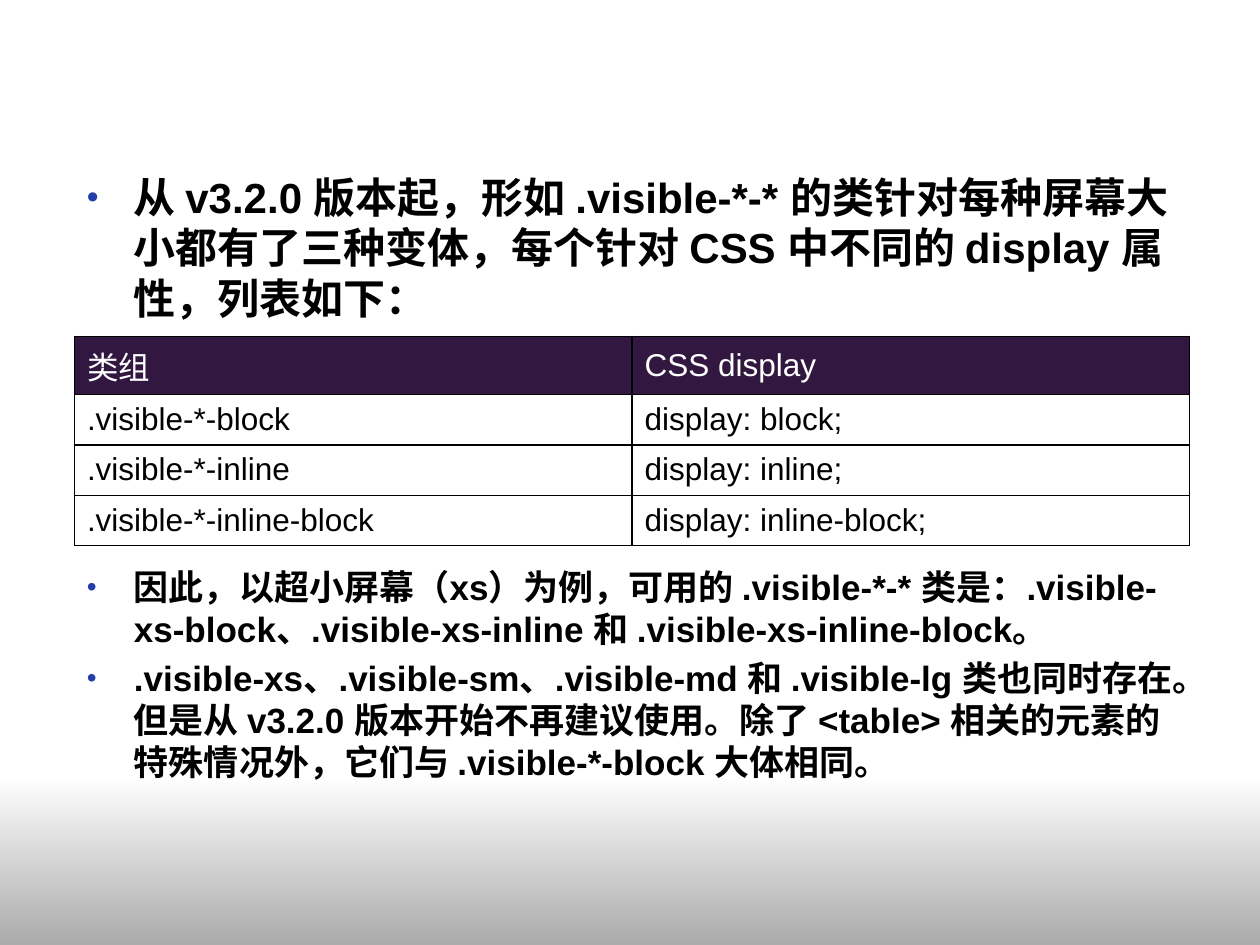
from lxml.etree import SubElement
from pptx import Presentation
from pptx.dml.color import RGBColor
from pptx.enum.text import MSO_ANCHOR
from pptx.oxml.ns import qn
from pptx.util import Cm, Pt

LEFT = Cm(1.5)
INDENT = Cm(0.95)
BLACK, WHITE, PURPLE, BLUE, GREY = "000000", "FFFFFF", "321841", "233DA9", "ABABAB"

INTRO = ["从 v3.2.0 版本起，形如 .visible-*-* 的类针对每种屏幕大小都有了三种变体，每个针对 CSS 中不同的 display 属性，列表如下："]
NOTES = [
    "因此，以超小屏幕（xs）为例，可用的 .visible-*-* 类是：.visible-xs-block、.visible-xs-inline 和 .visible-xs-inline-block。",
    ".visible-xs、.visible-sm、.visible-md 和 .visible-lg 类也同时存在。但是从 v3.2.0 版本开始不再建议使用。除了 <table> 相关的元素的特殊情况外，它们与 .visible-*-block 大体相同。",
]
CLASSES = [
    ("类组", "CSS display"),
    (".visible-*-block", "display: block;"),
    (".visible-*-inline", "display: inline;"),
    (".visible-*-inline-block", "display: inline-block;"),
]


def rgb(color):
    return RGBColor.from_string(color)


def style_runs(paragraph, size, color, bold=False):
    for run in paragraph.runs:
        font = run.font
        font.name, font.size, font.bold = "Arial", Pt(size), bold
        font.color.rgb = rgb(color)


def paint_background(slide):
    fill = slide.background.fill
    fill.gradient()
    fill.gradient_angle = 90
    for stop, color, position in zip(fill.gradient_stops, (GREY, WHITE), (0, 0.18)):
        stop.color.rgb = rgb(color)
        stop.position = position


def add_bullet(paragraph):
    props = paragraph._p.get_or_add_pPr()
    props.set("marL", str(INDENT))
    props.set("indent", str(-INDENT))
    bullet_color = SubElement(props, qn("a:buClr"))
    SubElement(bullet_color, qn("a:srgbClr"), val=BLUE)
    SubElement(props, qn("a:buSzPct"), val="80000")
    SubElement(props, qn("a:buFont"), typeface="Arial")
    SubElement(props, qn("a:buChar"), char="•")


def add_bullets(slide, items, top, height, size):
    frame = slide.shapes.add_textbox(LEFT, top, Cm(22.56), height).text_frame
    frame.word_wrap = True
    frame.text = "\n".join(items)
    for paragraph in frame.paragraphs:
        paragraph.space_before = Pt(size * 0.2)
        add_bullet(paragraph)
        style_runs(paragraph, size, BLACK, bold=True)


def add_borders(cell):
    props = cell._tc.get_or_add_tcPr()
    for position, side in enumerate(("a:lnL", "a:lnR", "a:lnT", "a:lnB")):
        border = SubElement(props, qn(side), w=str(Pt(1)))
        fill = SubElement(border, qn("a:solidFill"))
        SubElement(fill, qn("a:srgbClr"), val=BLACK)
        props.insert(position, border)


def add_class_table(slide):
    heights = [Cm(1.17)] + [Cm(0.97)] * (len(CLASSES) - 1)
    table = slide.shapes.add_table(
        len(CLASSES), 2, LEFT, Cm(6.78), Cm(22.48), sum(heights)
    ).table
    for r, (labels, height) in enumerate(zip(CLASSES, heights)):
        table.rows[r].height = height
        for c, label in enumerate(labels):
            cell = table.cell(r, c)
            cell.text_frame.text = label
            cell.vertical_anchor = MSO_ANCHOR.MIDDLE
            if r == 0:
                cell.fill.solid()
                cell.fill.fore_color.rgb = rgb(PURPLE)
            else:
                cell.fill.background()
            add_borders(cell)
            style_runs(cell.text_frame.paragraphs[0], 18, BLACK if r else WHITE)


def main():
    deck = Presentation()
    deck.slide_width, deck.slide_height = Cm(25.4), Cm(19.05)
    slide = deck.slides.add_slide(deck.slide_layouts[6])
    paint_background(slide)
    add_bullets(slide, INTRO, Cm(3.33), Cm(3.3), 24)
    add_class_table(slide)
    add_bullets(slide, NOTES, Cm(11.28), Cm(5.95), 20)
    deck.save("out.pptx")


if __name__ == "__main__":
    main()
